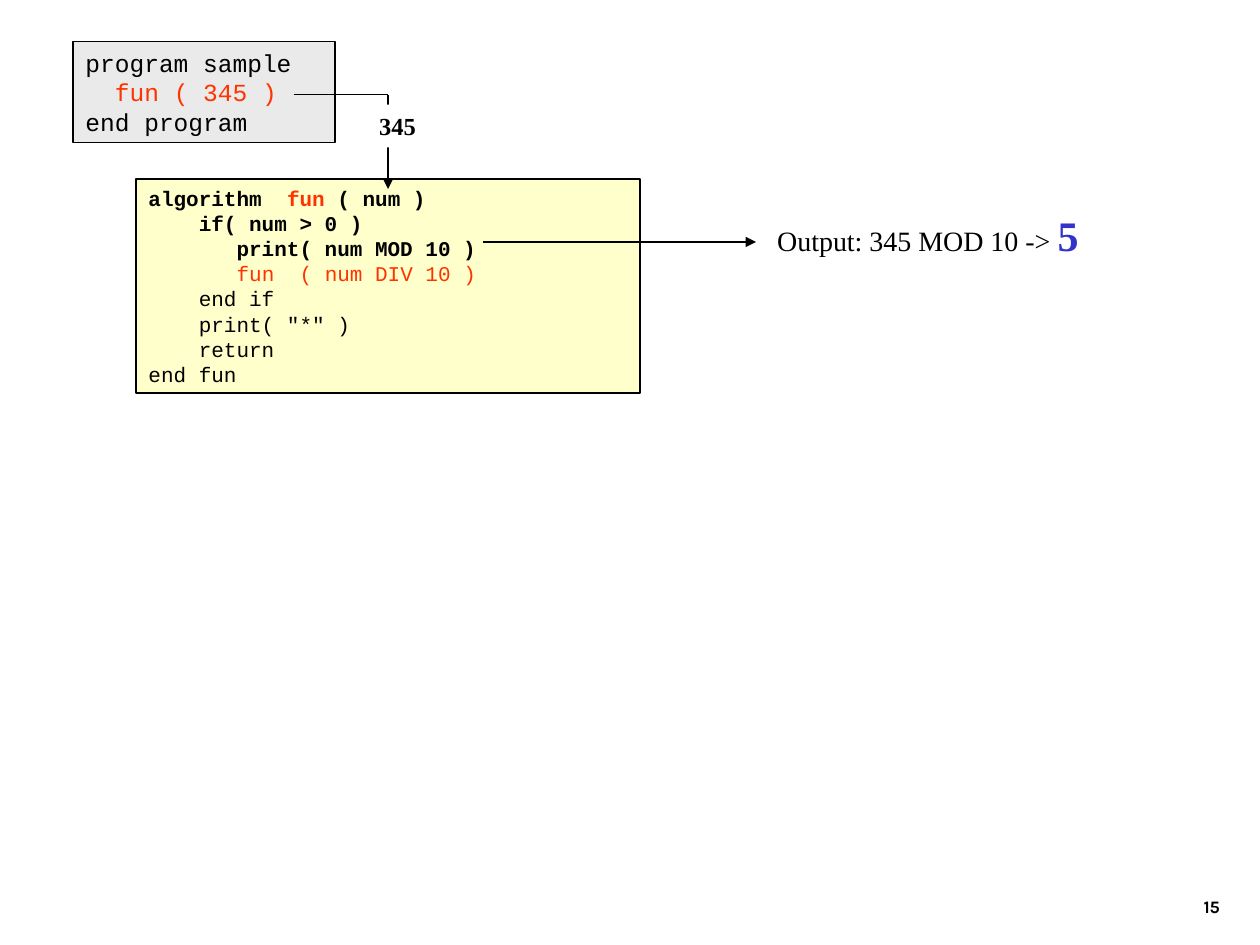
import pptx
import pptx.dml.color
import pptx.enum.shapes
import pptx.enum.text
import pptx.oxml.ns
import pptx.util
from lxml import etree

BLACK = pptx.dml.color.RGBColor(0x00, 0x00, 0x00)
WHITE = pptx.dml.color.RGBColor(0xFF, 0xFF, 0xFF)
RED = pptx.dml.color.RGBColor(0xFF, 0x33, 0x00)
BLUE = pptx.dml.color.RGBColor(0x33, 0x33, 0xCC)
GRAY = pptx.dml.color.RGBColor(0xEA, 0xEA, 0xEA)
YELLOW = pptx.dml.color.RGBColor(0xFF, 0xFF, 0xCC)
CODE_FONT = "Courier New"
TEXT_FONT = "Times New Roman"
WIDTH, HEIGHT = 10, 7.5

# Content: each paragraph is a list of (text, format changes)
PROGRAM = [
    [("program sample", {})],
    [("  ", {}), ("fun ( 345 )", {"color": RED})],
    [("end program", {})],
]
BOLD = {"bold": True}
ALGORITHM = [
    [("algorithm  ", BOLD), ("fun ", {"bold": True, "color": RED}), ("( num )", BOLD)],
    [("    if( num > 0 )", BOLD)],
    [("       print( num MOD 10 )", BOLD)],
    [("       ", {}), ("fun  ( num DIV 10 )", {"color": RED})],
    [("    end if", {})],
    [('    print( "*" )', {})],
    [("    return", {})],
    [("end fun", {})],
]
OUTPUT = [[("Output: 345 MOD 10 -> ", {}), ("5", {"size": 24, "bold": True, "color": BLUE})]]
ARGUMENT = [[("345", BOLD)]]
PAGE_NUMBER = [[("15", BOLD)]]

# Shared positions in inches
CALL_X, CALL_Y = 3.08, 0.75
PRINT_Y = 1.92


def add_text(slide, paragraphs, box, font=CODE_FONT, size=12, fill=None, border=None,
             wrap=True, align=pptx.enum.text.PP_ALIGN.LEFT,
             anchor=pptx.enum.text.MSO_ANCHOR.TOP):
    """Add a rectangle or a plain text box holding formatted runs."""
    place = [pptx.util.Inches(value) for value in box]
    if fill is None:
        shape = slide.shapes.add_textbox(*place)
    else:
        shape = slide.shapes.add_shape(pptx.enum.shapes.MSO_SHAPE.RECTANGLE, *place)
        shape.shadow.inherit = False
        shape.fill.solid()
        shape.fill.fore_color.rgb = fill
        if border is None:
            shape.line.fill.background()
        else:
            shape.line.color.rgb = border
            shape.line.width = pptx.util.Pt(0.75)
    frame = shape.text_frame
    frame.word_wrap = wrap
    frame.vertical_anchor = anchor
    for index, runs in enumerate(paragraphs):
        paragraph = frame.add_paragraph() if index else frame.paragraphs[0]
        paragraph.alignment = align
        for text, changes in runs:
            run = paragraph.add_run()
            run.text = text
            run.font.name = font
            run.font.size = pptx.util.Pt(changes.get("size", size))
            run.font.bold = changes.get("bold", False)
            run.font.color.rgb = changes.get("color", BLACK)
    return shape


def add_line(slide, start, end, arrow=False):
    """Add a straight black line, with an arrowhead at its end if asked."""
    points = [pptx.util.Inches(value) for value in (*start, *end)]
    line = slide.shapes.add_connector(pptx.enum.shapes.MSO_CONNECTOR.STRAIGHT, *points)
    line.line.color.rgb = BLACK
    line.line.width = pptx.util.Pt(0.75)
    if arrow:
        outline = line.line._get_or_add_ln()
        etree.SubElement(outline, pptx.oxml.ns.qn("a:tailEnd"), type="triangle")
    etree.SubElement(line._element.spPr, pptx.oxml.ns.qn("a:effectLst"))


def main():
    presentation = pptx.Presentation()
    presentation.slide_width = pptx.util.Inches(WIDTH)
    presentation.slide_height = pptx.util.Inches(HEIGHT)
    slide = presentation.slides.add_slide(presentation.slide_layouts[6])

    # Page number
    add_text(slide, PAGE_NUMBER, (7.7, 6.83, 2.08, 0.5), font="Karla", size=10,
             align=pptx.enum.text.PP_ALIGN.RIGHT, anchor=pptx.enum.text.MSO_ANCHOR.BOTTOM)

    # Output and the two code boxes
    add_text(slide, OUTPUT, (6.07, 1.61, 2.59, 0.5), font=TEXT_FONT, size=16, wrap=False)
    add_text(slide, ALGORITHM, (1.08, 1.42, 4, 1.7), fill=YELLOW, border=BLACK)
    add_text(slide, PROGRAM, (0.58, 0.33, 2.08, 0.8), size=14, fill=GRAY, border=BLACK)

    # Call from the program to the algorithm, labelled with its argument
    add_line(slide, (2.33, CALL_Y), (CALL_X, CALL_Y))
    add_line(slide, (CALL_X, CALL_Y), (CALL_X, 2 * CALL_Y), arrow=True)
    add_text(slide, ARGUMENT, (2.91, 0.83, 0.49, 0.34), font=TEXT_FONT, size=14,
             fill=WHITE, wrap=False)

    # Print statement to its output
    add_line(slide, (3.83, PRINT_Y), (6, PRINT_Y), arrow=True)

    presentation.save("out.pptx")


if __name__ == "__main__":
    main()
